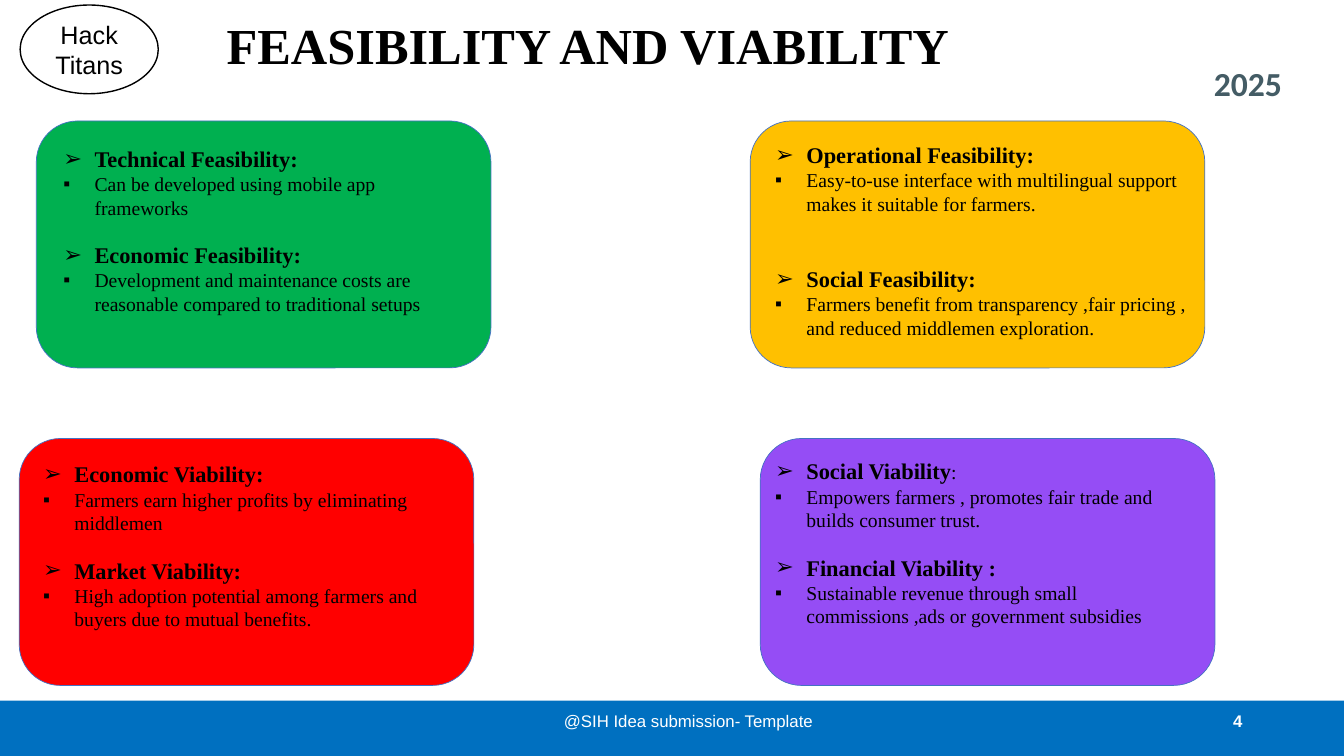
from lxml.etree import SubElement
from pptx import Presentation
from pptx.dml.color import RGBColor
from pptx.enum.shapes import MSO_SHAPE
from pptx.enum.text import MSO_ANCHOR, PP_ALIGN
from pptx.oxml.ns import qn
from pptx.util import Inches, Pt

BLACK = RGBColor(0x00, 0x00, 0x00)
WHITE = RGBColor(0xFF, 0xFF, 0xFF)
BLUE = RGBColor(0x00, 0x70, 0xC0)
OUTLINE = RGBColor(0x44, 0x72, 0xC4)
GREEN = RGBColor(0x00, 0xB0, 0x50)
AMBER = RGBColor(0xFF, 0xC0, 0x00)
RED = RGBColor(0xFF, 0x00, 0x00)
PURPLE = RGBColor(0x95, 0x4D, 0xF5)
SLATE = RGBColor(0x44, 0x5C, 0x65)

prs = Presentation()
prs.slide_width, prs.slide_height = Inches(13.33), Inches(7.5)
s = prs.slides.add_slide(prs.slide_layouts[6])


def add_shape(kind, box, fill, line=None, width=0):
    sp = s.shapes.add_shape(kind, *(Inches(v) for v in box))
    sp.shadow.inherit = False
    sp.fill.solid()
    sp.fill.fore_color.rgb = fill
    if line is None:
        sp.line.fill.background()
    else:
        sp.line.color.rgb = line
        sp.line.width = Pt(width)
    return sp


def add_text(p, text, size, font="Times New Roman", color=BLACK, bold=False,
             align=PP_ALIGN.LEFT, bullet=None, before=0):
    p.alignment = align
    if before:
        p.space_before = Pt(before)
    if bullet:
        pPr = p._p.get_or_add_pPr()
        pPr.set("marL", str(Inches(0.31)))
        pPr.set("indent", str(-Inches(0.31)))
        SubElement(pPr, qn("a:buFont"), typeface="Arial")
        SubElement(pPr, qn("a:buChar"), char=bullet)
    r = p.add_run()
    r.text = text
    r.font.size, r.font.name, r.font.bold = Pt(size), font, bold
    r.font.color.rgb = color


# Footer bar
add_shape(MSO_SHAPE.RECTANGLE, (0, 6.95, 13.33, 0.55), BLUE)

# Title, footer text, page number and year
labels = [
    ((2.15, -0.25, 11.5, 1.45), MSO_ANCHOR.MIDDLE, "FEASIBILITY AND VIABILITY",
     dict(size=36, bold=True)),
    ((5.08, 6.95, 3.5, 0.4), MSO_ANCHOR.MIDDLE, "@SIH Idea submission- Template",
     dict(size=12, font="Arial", color=WHITE, align=PP_ALIGN.CENTER)),
    ((9.42, 6.95, 3, 0.4), MSO_ANCHOR.MIDDLE, "4",
     dict(size=12, font="Arial", color=WHITE, bold=True, align=PP_ALIGN.RIGHT)),
    ((11.94, 0.58, 1, 0.5), MSO_ANCHOR.TOP, "2025",
     dict(size=24, font="Calibri", color=SLATE, bold=True)),
]
for box, anchor, text, fmt in labels:
    tf = s.shapes.add_textbox(*(Inches(v) for v in box)).text_frame
    tf.word_wrap = True
    tf.vertical_anchor = anchor
    add_text(tf.paragraphs[0], text, **fmt)
    if fmt["size"] == 36:
        tf.paragraphs[0].line_spacing = 0.9

# Team badge
badge = add_shape(MSO_SHAPE.OVAL, (0.2, 0.05, 1.37, 0.88), WHITE, BLACK, 1)
tf = badge.text_frame
tf.word_wrap = True
tf.vertical_anchor = MSO_ANCHOR.MIDDLE
add_text(tf.paragraphs[0], "Hack Titans", size=18, font="Arial", align=PP_ALIGN.CENTER)

# Four cards: colour, card corner, text box, gap between topics, topics
cards = [
    (GREEN, (0.36, 1.2), (0.53, 1.39, 4.17, 2.05), 16, [
        ("Technical Feasibility:", "Can be developed using mobile app frameworks"),
        ("Economic Feasibility:", "Development and maintenance costs are "
                                  "reasonable compared to traditional setups")]),
    (AMBER, (7.44, 1.2), (7.59, 1.35, 4.41, 2.3), 36, [
        ("Operational Feasibility:", "Easy-to-use interface with multilingual support "
                                     "makes it suitable for farmers."),
        ("Social Feasibility:", "Farmers benefit from transparency ,fair pricing , "
                                "and reduced middlemen exploration.")]),
    (RED, (0.19, 4.35), (0.33, 4.52, 4.13, 1.82), 16, [
        ("Economic Viability:", "Farmers earn higher profits by eliminating middlemen"),
        ("Market Viability:", "High adoption potential among farmers and "
                              "buyers due to mutual benefits.")]),
    (PURPLE, (7.54, 4.35), (7.59, 4.49, 4.36, 1.82), 16, [
        ("Social Viability", "Empowers farmers , promotes fair trade and "
                             "builds consumer trust."),
        ("Financial Viability :", "Sustainable revenue through small "
                                  "commissions ,ads or government subsidies")]),
]
for color, corner, box, gap, topics in cards:
    add_shape(MSO_SHAPE.ROUNDED_RECTANGLE, (*corner, 4.51, 2.45), color, OUTLINE, 0.5)
    tf = s.shapes.add_textbox(*(Inches(v) for v in box)).text_frame
    tf.word_wrap = True
    for i, (heading, detail) in enumerate(topics):
        p = tf.add_paragraph() if i else tf.paragraphs[0]
        add_text(p, heading, size=16, bold=True, bullet="➢", before=gap * i)
        if not heading.endswith(":"):
            add_text(p, ":", size=14)  # light colon after the heading
        add_text(tf.add_paragraph(), detail, size=14, bullet="▪")

prs.save("out.pptx")
